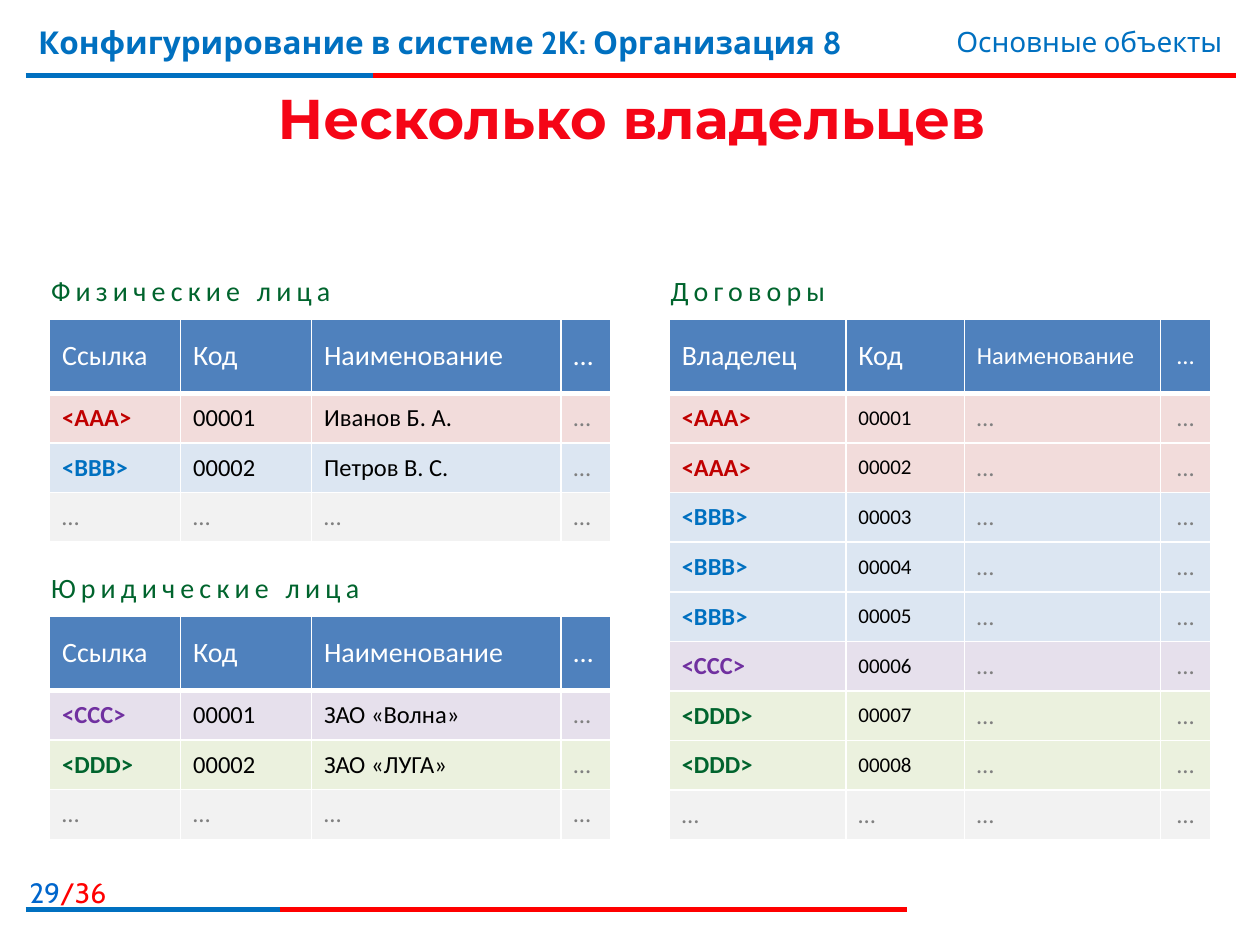
import pptx
import pptx.dml.color
import pptx.enum.shapes
import pptx.enum.text
import pptx.oxml
import pptx.oxml.ns
import pptx.util
from pptx.util import Cm

ALIGN = pptx.enum.text.PP_ALIGN
MIDDLE = pptx.enum.text.MSO_ANCHOR.MIDDLE
BLUE, RED, GREEN, GREY = "0070C0", "FF0000", "00642D", "808080"
DRAWING = pptx.oxml.ns.nsdecls("a")
# Reference colour and row fill of each owner
OWNERS = {
    "<AAA>": ("C00000", "F2DCDB"),
    "<BBB>": (BLUE, "DCE6F2"),
    "<CCC>": ("7030A0", "E6E0EC"),
    "<DDD>": (GREEN, "EBF1DE"),
    "…": (GREY, "F2F2F2"),
}


def color(value):
    """Turn a hex string into a colour."""
    return pptx.dml.color.RGBColor.from_string(value)


def outline(tag, width, value):
    """Make a solid outline element; width is in points."""
    return pptx.oxml.parse_xml(
        f'<a:{tag} {DRAWING} w="{int(pptx.util.Pt(width))}"><a:solidFill>'
        f'<a:srgbClr val="{value}"/></a:solidFill></a:{tag}>')


class SlideBuilder:
    """Holds the style and the current slide."""

    header_font, title_font, body_font = "Cabin", "Montserrat", "Calibri"
    header_fill, border = "4F81BD", "FFFFFF"

    def __init__(self, slide):
        """Keep the slide to draw on."""
        self.slide = slide

    def run(self, paragraph, text, size, font, value, bold=False):
        """Add one formatted run."""
        run = paragraph.add_run()
        run.text = text
        run.font.size = pptx.util.Pt(size)
        run.font.name = font
        run.font.bold = bold
        run.font.color.rgb = color(value)
        return run

    def title(self, text, left, top, width, height):
        """Place the title with its gradient and white outline."""
        title = self.slide.shapes.title
        title.left, title.top = Cm(left), Cm(top)
        title.width, title.height = Cm(width), Cm(height)
        title.text_frame.vertical_anchor = MIDDLE
        paragraph = title.text_frame.paragraphs[0]
        paragraph.alignment = ALIGN.CENTER
        run = self.run(paragraph, text, 32, self.title_font, "F50516", True)
        fill = run.font.fill
        fill.gradient()
        fill.gradient_angle = 270
        for stop, (position, value) in zip(
                fill.gradient_stops, [(0.55, "F50516"), (0.86, "C00000")]):
            stop.position = position
            stop.color.rgb = color(value)
        run.font._element.insert(0, outline("ln", 0.75, "FFFFFF"))

    def text_box(self, left, top, width, height, align=ALIGN.LEFT, wrap=True, grow=False):
        """Add a text box and return its paragraph."""
        box = self.slide.shapes.add_textbox(Cm(left), Cm(top), Cm(width), Cm(height))
        frame = box.text_frame
        frame.word_wrap = wrap
        if grow:
            frame.auto_size = pptx.enum.text.MSO_AUTO_SIZE.SHAPE_TO_FIT_TEXT
        frame.paragraphs[0].alignment = align
        return frame.paragraphs[0]

    def rule(self, top, blue_end, red_end):
        """Draw a red rule with a blue beginning."""
        for end, value in ((red_end, RED), (blue_end, BLUE)):
            line = self.slide.shapes.add_connector(
                pptx.enum.shapes.MSO_CONNECTOR.STRAIGHT,
                Cm(0.52), Cm(top), Cm(end), Cm(top))
            line.line.color.rgb = color(value)
            line.line.width = pptx.util.Pt(3)
            line._element.spPr.append(pptx.oxml.parse_xml(f"<a:effectLst {DRAWING}/>"))

    def cell(self, cell, text, size, value, fill, bold=False, align=ALIGN.LEFT, bottom=1):
        """Format and fill one table cell."""
        properties = cell._tc.get_or_add_tcPr()
        for side, width in (("lnL", 1), ("lnR", 1), ("lnT", 1), ("lnB", bottom)):
            properties.append(outline(side, width, self.border))
        cell.fill.solid()
        cell.fill.fore_color.rgb = color(fill)
        cell.vertical_anchor = MIDDLE
        paragraph = cell.text_frame.paragraphs[0]
        paragraph.alignment = align
        self.run(paragraph, text, size, self.body_font, value, bold)

    def catalog(self, name, name_width, left, top, widths, header, rows,
                header_sizes=(16, 16, 16, 16), code_size=14, last_align=ALIGN.LEFT):
        """Add a captioned table whose rows take their owner's colours."""
        height = 1.5 + len(rows)
        table = self.slide.shapes.add_table(
            len(rows) + 1, len(widths), Cm(left), Cm(top),
            Cm(sum(widths)), Cm(height)).table
        table.first_row = table.horz_banding = False
        for column, width in zip(table.columns, widths):
            column.width = Cm(width)
        for index, row in enumerate(table.rows):
            row.height = Cm(1 if index else 1.5)
        aligns = [ALIGN.LEFT] * 3 + [last_align]
        for column, text in enumerate(header):
            self.cell(table.cell(0, column), text, header_sizes[column], "FFFFFF",
                      self.header_fill, align=aligns[column], bottom=3)
        for index, row in enumerate(rows, 1):
            owner_color, fill = OWNERS[row[0]]
            for column, text in enumerate(row):
                value = GREY if text == "…" else "000000" if column else owner_color
                size = code_size if column == 1 and text != "…" else 14
                self.cell(table.cell(index, column), text, size, value, fill,
                          bold=column == 0 and text != "…", align=aligns[column])
        caption = self.text_box(left - 0.22, top - 1.05, name_width, 0.94,
                                wrap=False, grow=True)
        run = self.run(caption, name, 16, self.body_font, GREEN)
        run.font._element.set("spc", "300")


presentation = pptx.Presentation()
presentation.slide_width, presentation.slide_height = Cm(25.4), Cm(19.05)
builder = SlideBuilder(presentation.slides.add_slide(presentation.slide_layouts[5]))

builder.rule(1.52, 7.52, 24.92)
builder.rule(18.34, 5.64, 18.29)
page = builder.text_box(-0.25, 17.53, 2.64, 0.81, ALIGN.RIGHT)
builder.run(page, "29", 16, builder.header_font, "0066CC")
builder.run(page, "/36", 16, builder.header_font, RED)
course = builder.text_box(0.52, 0.33, 18.8, 1.57)
builder.run(course, "Конфигурирование в системе 2К: Организация 8", 18,
            builder.header_font, BLUE, True)
topic = builder.text_box(15.09, 0.38, 9.8, 0.94, ALIGN.RIGHT, grow=True)
builder.run(topic, "Основные объекты", 16, builder.header_font, BLUE)
builder.title("Несколько владельцев", 0.53, 1.6, 24.41, 1.52)

PERSON_WIDTHS = (2.64, 2.64, 5.03, 1)
PERSON_HEADER = ("Ссылка", "Код", "Наименование", "…")
REST = ("…",) * 4
for name, name_width, top, members in (
        ("Физические лица", 6.32, 6.43,
         (("<AAA>", "Иванов Б. А."), ("<BBB>", "Петров В. С."))),
        ("Юридические лица", 6.91, 12.42,
         (("<CCC>", "ЗАО «Волна»"), ("<DDD>", "ЗАО «ЛУГА»")))):
    rows = [(reference, f"{code:05}", member, "…")
            for code, (reference, member) in enumerate(members, 1)]
    builder.catalog(name, name_width, 1, top, PERSON_WIDTHS, PERSON_HEADER, rows + [REST])

contract_owners = ["<AAA>"] * 2 + ["<BBB>"] * 3 + ["<CCC>"] + ["<DDD>"] * 2
contracts = [(owner, f"{code:05}", "…", "…")
             for code, owner in enumerate(contract_owners, 1)]
builder.catalog("Договоры", 3.78, 13.49, 6.43, (3.56, 2.39, 3.95, 1.02),
                ("Владелец", "Код", "Наименование", "…"), contracts + [REST],
                header_sizes=(16, 16, 14, 14), code_size=12, last_align=ALIGN.CENTER)

presentation.save("out.pptx")
